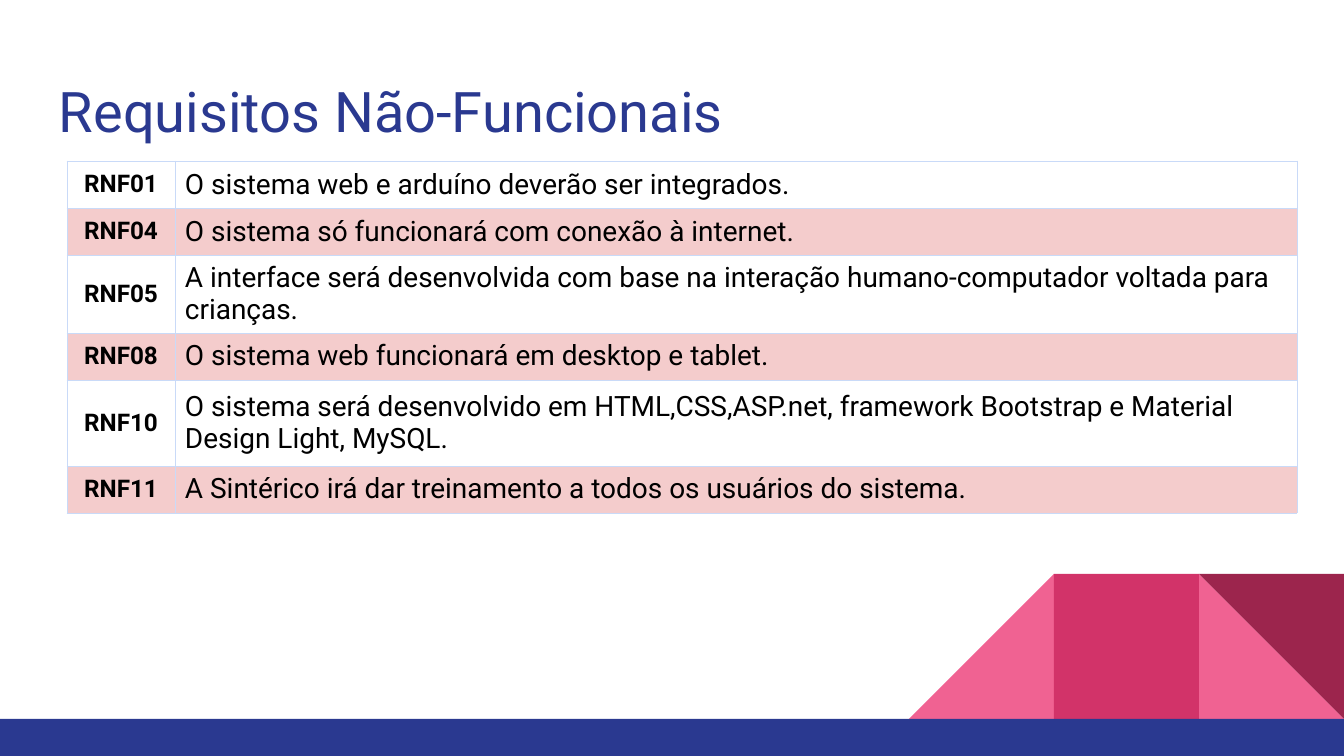
from lxml.etree import SubElement
from pptx import Presentation
from pptx.dml.color import RGBColor
from pptx.enum.shapes import MSO_SHAPE
from pptx.enum.text import MSO_ANCHOR, PP_ALIGN
from pptx.oxml.ns import qn
from pptx.util import Emu, Pt

# Content
TITLE = "Requisitos Não-Funcionais"
REQUIREMENTS = [  # code, description, row height
    ("RNF01", "O sistema web e arduíno deverão ser integrados.", 47),
    ("RNF04", "O sistema só funcionará com conexão à internet.", 47),
    ("RNF05", "A interface será desenvolvida com base na interação "
              "humano-computador voltada para crianças.", 78),
    ("RNF08", "O sistema web funcionará em desktop e tablet.", 47),
    ("RNF10", "O sistema será desenvolvido em HTML,CSS,ASP.net, framework "
              "Bootstrap e Material Design Light, MySQL.", 86),
    ("RNF11", "A Sintérico irá dar treinamento a todos os usuários do sistema.", 47),
]
DECORATION = [  # preset, column, flip, rotation, colour
    (MSO_SHAPE.RIGHT_TRIANGLE, 2, False, 0, "F06292"),
    (MSO_SHAPE.RIGHT_TRIANGLE, 0, True, 0, "F06292"),
    (MSO_SHAPE.RECTANGLE, 1, False, 0, "D23369"),
    (MSO_SHAPE.RIGHT_TRIANGLE, 2, False, 180, "9C254D"),
]
FONT, NAVY, BLACK = "Roboto", "2A3990", "000000"
STRIPE, BORDER = "F4CCCC", "C9DAF8"

# Layout in px
WIDTH, HEIGHT = 1344, 756
FOOTER_TOP, TILE = 719, 145
TABLE_LEFT, TABLE_TOP = 67, 161
COLUMNS = (108, 1122)


def px(length):
    return Emu(round(length * 914400 / 134.4))


def rgb(colour):
    return RGBColor.from_string(colour)


def add_block(preset, left, top, width, height, colour):
    block = slide.shapes.add_shape(preset, px(left), px(top), px(width), px(height))
    block.shadow.inherit = False
    block.fill.solid()
    block.fill.fore_color.rgb = rgb(colour)
    block.line.fill.background()
    return block


def write(paragraph, text, size, colour, bold=False):
    run = paragraph.add_run()
    run.text = text
    run.font.name, run.font.size, run.font.bold = FONT, Pt(size), bold
    run.font.color.rgb = rgb(colour)


def add_borders(cell):
    properties = cell._tc.get_or_add_tcPr()
    for position, side in enumerate(("a:lnL", "a:lnR", "a:lnT", "a:lnB")):
        border = SubElement(properties, qn(side), w=str(Pt(0.5)))
        properties.insert(position, border)  # borders come before the fill
        fill = SubElement(border, qn("a:solidFill"))
        SubElement(fill, qn("a:srgbClr"), val=BORDER)


presentation = Presentation()
presentation.slide_width, presentation.slide_height = px(WIDTH), px(HEIGHT)
slide = presentation.slides.add_slide(presentation.slide_layouts[6])

# Corner decoration and footer band
for preset, column, flipped, rotation, colour in DECORATION:
    tile = add_block(preset, WIDTH - (3 - column) * TILE, FOOTER_TOP - TILE,
                     TILE, TILE, colour)
    tile.rotation = rotation
    if flipped:
        tile._element.spPr.xfrm.set("flipH", "1")
add_block(MSO_SHAPE.RECTANGLE, 0, FOOTER_TOP, WIDTH, HEIGHT - FOOTER_TOP, NAVY)

# Title
heading = slide.shapes.add_textbox(px(46), px(60), px(1252), px(89)).text_frame
heading.word_wrap = True
heading.vertical_anchor = MSO_ANCHOR.TOP
heading.margin_left = heading.margin_right = heading.margin_bottom = px(13)
heading.margin_top = px(17)
write(heading.paragraphs[0], TITLE, 30, NAVY)

# Requirements table
table_height = sum(height for _, _, height in REQUIREMENTS)
table = slide.shapes.add_table(
    len(REQUIREMENTS), len(COLUMNS), px(TABLE_LEFT), px(TABLE_TOP),
    px(sum(COLUMNS)), px(table_height)).table
table.first_row = table.horz_banding = False
for column, width in zip(table.columns, COLUMNS):
    column.width = px(width)

for index, (code, description, height) in enumerate(REQUIREMENTS):
    table.rows[index].height = px(height)
    styles = ((code, 13, True, PP_ALIGN.CENTER),
              (description, 15, False, PP_ALIGN.LEFT))
    for cell, (text, size, bold, alignment) in zip(table.rows[index].cells, styles):
        cell.vertical_anchor = MSO_ANCHOR.MIDDLE
        cell.margin_left = cell.margin_right = px(10)
        cell.margin_top = cell.margin_bottom = 0
        if index % 2:
            cell.fill.solid()
            cell.fill.fore_color.rgb = rgb(STRIPE)
        else:
            cell.fill.background()
        add_borders(cell)
        paragraph = cell.text_frame.paragraphs[0]
        paragraph.alignment = alignment
        write(paragraph, text, size, BLACK, bold)

presentation.save("out.pptx")
